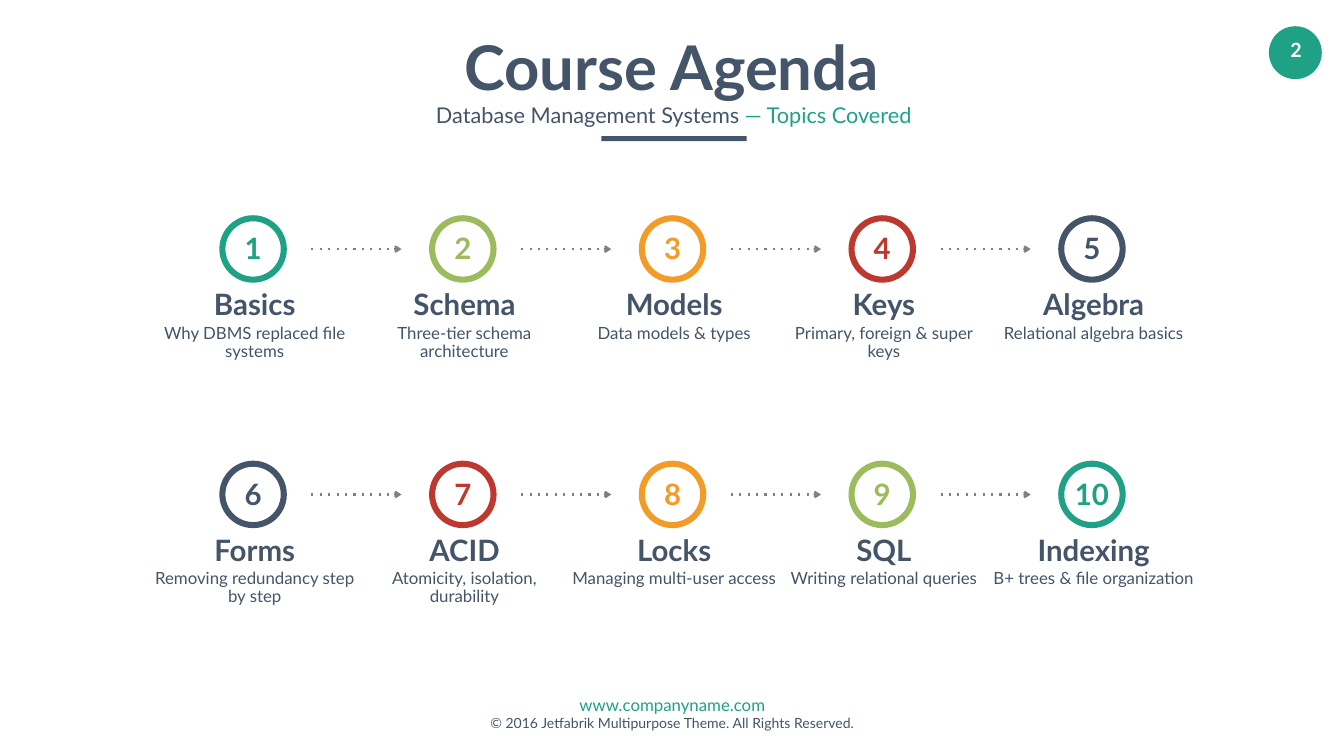
from dataclasses import dataclass

from pptx import Presentation
from pptx.dml.color import RGBColor
from pptx.enum import shapes, text
from pptx.oxml.xmlchemy import OxmlElement
from pptx.util import Inches, Pt


@dataclass(frozen=True)
class Theme:
    font: str = "Lato"
    teal: str = "1EA185"
    lime: str = "9BBB5C"
    orange: str = "F29B26"
    red: str = "BD392F"
    navy: str = "445469"
    grey: str = "808080"
    white: str = "FFFFFF"
    title: int = 88
    heading: int = 42
    subtitle: int = 31
    badge: int = 28
    body: int = 24
    small: int = 20
    inset: tuple = (0.2, 0.1)


@dataclass(frozen=True)
class Box:
    left: float
    top: float
    width: float
    height: float

    def share(self, x, y, w, h):
        return Box(self.left + self.width * x / 100, self.top + self.height * y / 100,
                   self.width * w / 100, self.height * h / 100)

    def grid_cell(self, column, row, columns, rows):
        return self.share(100 * column / columns, 100 * row / rows, 100 / columns, 100 / rows)

    def lengths(self):
        return [Inches(n) for n in (self.left, self.top, self.width, self.height)]


THEME = Theme()
PAGE = Box(0, 0, 26.66, 15)
COLUMNS, ROWS = 5, 2
TOPICS = [
    ("Basics", "Why DBMS replaced file systems", THEME.teal),
    ("Schema", "Three-tier schema architecture", THEME.lime),
    ("Models", "Data models & types", THEME.orange),
    ("Keys", "Primary, foreign & super keys", THEME.red),
    ("Algebra", "Relational algebra basics", THEME.navy),
    ("Forms", "Removing redundancy step by step", THEME.navy),
    ("ACID", "Atomicity, isolation, durability", THEME.red),
    ("Locks", "Managing multi-user access", THEME.orange),
    ("SQL", "Writing relational queries", THEME.lime),
    ("Indexing", "B+ trees & file organization", THEME.teal),
]


def add_text(slide, box, *paragraphs, size=THEME.body, color=THEME.navy, bold=False,
             spacing=1.0, inset=THEME.inset):
    frame = slide.shapes.add_textbox(*box.lengths()).text_frame
    frame.word_wrap = True
    frame.margin_left = frame.margin_right = Inches(inset[0])
    frame.margin_top = frame.margin_bottom = Inches(inset[1])
    for index, runs in enumerate(paragraphs):
        paragraph = frame.add_paragraph() if index else frame.paragraphs[0]
        paragraph.alignment = text.PP_ALIGN.CENTER
        paragraph.line_spacing = spacing
        for words, style in runs:
            run = paragraph.add_run()
            run.text = words
            run.font.name = THEME.font
            run.font.size = Pt(style.get("size", size))
            run.font.bold = bold
            run.font.color.rgb = RGBColor.from_string(style.get("color", color))


def add_filled(slide, preset, box, color):
    filled = slide.shapes.add_shape(preset, *box.lengths())
    filled.shadow.inherit = False
    filled.fill.solid()
    filled.fill.fore_color.rgb = RGBColor.from_string(color)
    filled.line.fill.background()
    return filled


def add_dotted_arrow(slide, box):
    left, top, width, _ = box.lengths()
    arrow = slide.shapes.add_connector(shapes.MSO_CONNECTOR.STRAIGHT, left, top, left + width, top)
    arrow.line.color.rgb = RGBColor.from_string(THEME.grey)
    arrow.line.width = Pt(3)
    outline = arrow.line._get_or_add_ln()
    for tag, key, value in (("a:prstDash", "val", "dot"), ("a:tailEnd", "type", "arrow")):
        element = OxmlElement(tag)
        element.set(key, value)
        outline.append(element)
    outline.addnext(OxmlElement("a:effectLst"))


def add_header(slide, box):
    add_text(slide, box.share(0, 0, 100, 69.6), [("Course Agenda", {})],
             size=THEME.title, bold=True, inset=(0.1, 0.05))
    add_filled(slide, shapes.MSO_SHAPE.RECTANGLE, box.share(43.91, 95.6, 12.58, 4.4), THEME.navy)
    add_text(slide, box.share(3.01, 55.5, 94.32, 40.5),
             [("Database Management Systems ", {}), ("— Topics Covered", {"color": THEME.teal})],
             size=THEME.subtitle, spacing=1.2, inset=(0.24, 0.12))


def add_page_badge(slide, box, number):
    add_filled(slide, shapes.MSO_SHAPE.OVAL, box, THEME.teal)
    add_text(slide, box.share(9.5, 13.3, 83.8, 63.8), [(number, {})],
             size=THEME.badge, color=THEME.white, bold=True)


def add_topic(slide, box, number, heading, summary, color):
    ring = add_filled(slide, shapes.MSO_SHAPE.DONUT, box.share(33.9, 0, 32.2, 27.5), color)
    ring.adjustments[0] = 0.09
    add_text(slide, box.share(36.3, 4.1, 27.4, 18.7), [(str(number), {})],
             size=THEME.heading, color=color, bold=True)
    add_text(slide, box.share(0.8, 26.9, 100, 18.7), [(heading, {})],
             size=THEME.heading, bold=True)
    add_text(slide, box.share(-4.3, 42.5, 110.1, 27.9), [(summary, {})], spacing=0.9)


def add_agenda(slide, box):
    for index, topic in enumerate(TOPICS):
        row, column = divmod(index, COLUMNS)
        cell = box.grid_cell(column, row, COLUMNS, ROWS)
        add_topic(slide, cell, index + 1, *topic)
        if column < COLUMNS - 1:
            add_dotted_arrow(slide, cell.share(77.8, 13.8, 43, 0))


def add_footer(slide, box):
    add_text(slide, box, [("www.companyname.com", {"color": THEME.teal})],
             [("© 2016 Jetfabrik Multipurpose Theme. All Rights Reserved.", {"size": THEME.small})])


def main():
    deck = Presentation()
    deck.slide_width, deck.slide_height = Inches(PAGE.width), Inches(PAGE.height)
    slide = deck.slides.add_slide(deck.slide_layouts[6])
    add_page_badge(slide, PAGE.share(94.41, 3.47, 3.94, 7), "2")
    add_footer(slide, PAGE.share(31.96, 91.2, 36.12, 6.27))
    add_agenda(slide, PAGE.share(11.03, 28.47, 78.02, 64.93))
    add_header(slide, PAGE.share(7.05, 3.53, 85.86, 15.13))
    deck.save("out.pptx")


if __name__ == "__main__":
    main()
